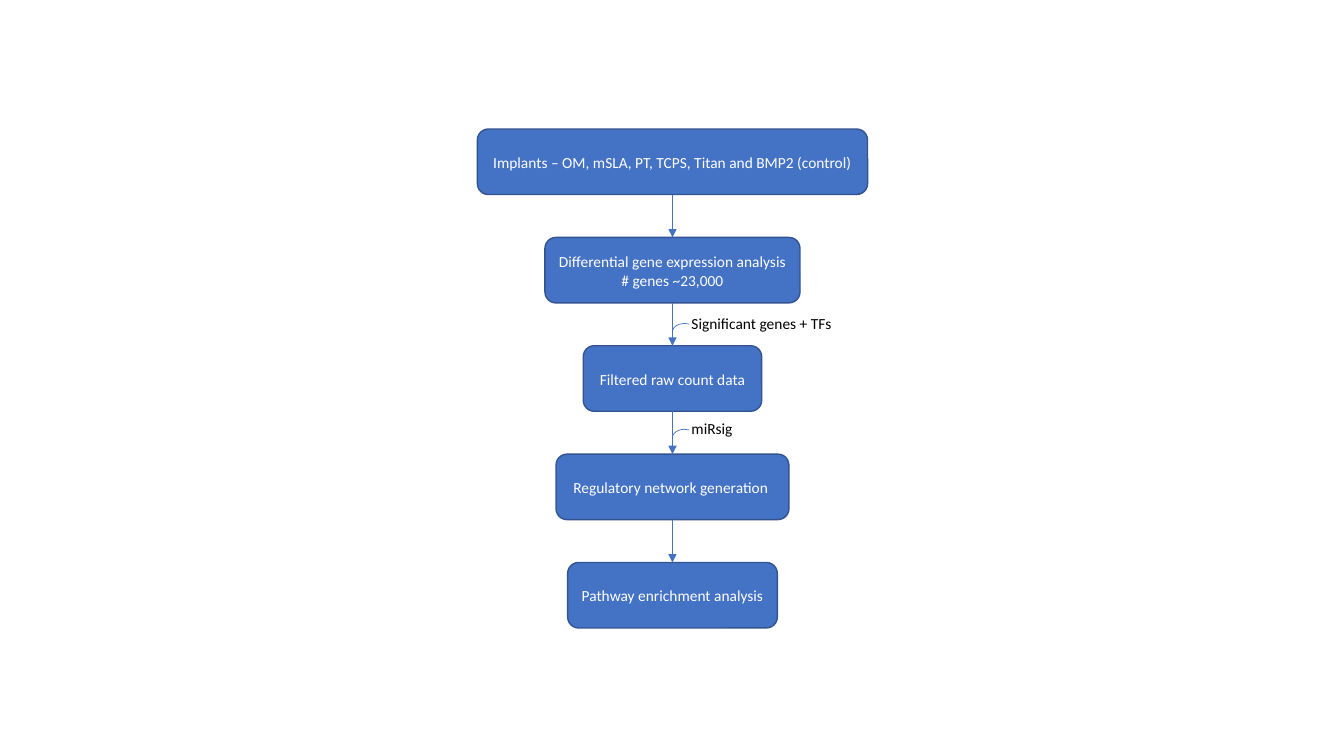
from lxml import etree
from pptx import Presentation
from pptx import util as u
from pptx.dml.color import RGBColor
from pptx.enum import shapes, text
from pptx.oxml.ns import qn

COLORS = {"box": "4472C4", "border": "325491", "light": "FFFFFF", "dark": "000000"}
CENTER = 6.67
FIRST_TOP = 1.28
PITCH = (5.58 - FIRST_TOP) / 4
BOX_HEIGHT = 0.65
STEPS = [
    (3.87, ["Implants – OM, mSLA, PT, TCPS, Titan and BMP2 (control)"]),
    (2.53, ["Differential gene expression analysis ", "# genes ~23,000"]),
    (1.77, ["Filtered raw count data"]),
    (2.31, ["Regulatory network generation "]),
    (2.08, ["Pathway enrichment analysis"]),
]
NOTES = [(3.07, 3.21, "Significant genes + TFs"), (4.11, 4.26, "miRsig")]


def color(name):
    return RGBColor.from_string(COLORS[name])


def write_text(frame, lines, ink="dark", align=text.PP_ALIGN.LEFT, spacing=None):
    frame.word_wrap = True
    for index, line in enumerate(lines):
        paragraph = frame.paragraphs[0] if index == 0 else frame.add_paragraph()
        paragraph.alignment = align
        paragraph.line_spacing = spacing
        run = paragraph.add_run()
        run.text = line
        run.font.size = u.Pt(11)
        run.font.name = "Calibri"
        run.font.color.rgb = color(ink)


def style_line(shape, name, width):
    shape.line.color.rgb = color(name)
    shape.line.width = u.Pt(width)


def add_step(slide, top, width, lines):
    box = slide.shapes.add_shape(
        shapes.MSO_SHAPE.ROUNDED_RECTANGLE, u.Inches(CENTER - width / 2),
        u.Inches(top), u.Inches(width), u.Inches(BOX_HEIGHT))
    box.shadow.inherit = False
    box.fill.solid()
    box.fill.fore_color.rgb = color("box")
    style_line(box, "border", 1)
    box.text_frame.vertical_anchor = text.MSO_ANCHOR.MIDDLE
    write_text(box.text_frame, lines, ink="light",
               align=text.PP_ALIGN.CENTER, spacing=1.07)
    return box


def add_arrow(slide, upper, lower):
    arrow = slide.shapes.add_connector(shapes.MSO_CONNECTOR.STRAIGHT, 0, 0, 0, 0)
    arrow.begin_connect(upper, 2)
    arrow.end_connect(lower, 0)
    style_line(arrow, "box", 0.5)
    etree.SubElement(arrow.line._get_or_add_ln(), qn("a:tailEnd"), type="triangle")
    etree.SubElement(arrow._element.spPr, qn("a:effectLst"))


def add_note(slide, label_top, arc_top, label):
    box = slide.shapes.add_textbox(
        u.Inches(6.76), u.Inches(label_top), u.Inches(1.6), u.Inches(0.29))
    write_text(box.text_frame, [label])
    arc = slide.shapes.add_shape(
        shapes.MSO_SHAPE.ARC, u.Inches(CENTER), u.Inches(arc_top),
        u.Inches(0.24), u.Inches(0.16))
    arc.shadow.inherit = False
    arc.fill.background()
    style_line(arc, "box", 0.5)
    arc.adjustments[0] = 142.2
    arc.adjustments[1] = 0
    arc._element.spPr.xfrm.set("flipH", "1")


def main():
    presentation = Presentation()
    presentation.slide_width = u.Inches(13.33)
    presentation.slide_height = u.Inches(7.5)
    slide = presentation.slides.add_slide(presentation.slide_layouts[6])
    boxes = [add_step(slide, FIRST_TOP + index * PITCH, width, lines)
             for index, (width, lines) in enumerate(STEPS)]
    for upper, lower in zip(boxes, boxes[1:]):
        add_arrow(slide, upper, lower)
    for label_top, arc_top, label in NOTES:
        add_note(slide, label_top, arc_top, label)
    presentation.save("out.pptx")


if __name__ == "__main__":
    main()
